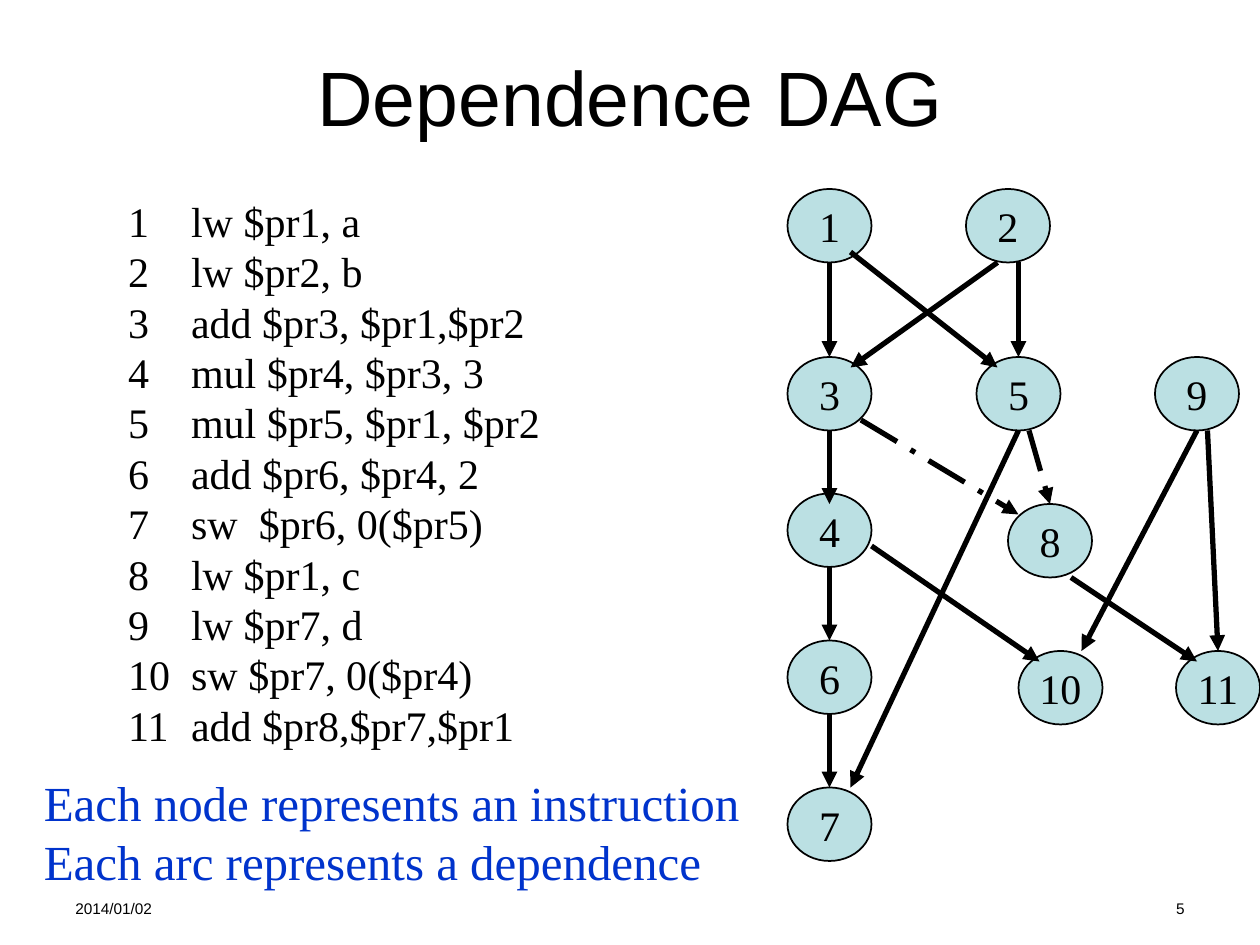
"""Build a slide that shows a dependence DAG beside its instruction list."""
from lxml import etree
from pptx import Presentation
from pptx.dml.color import RGBColor
from pptx.enum.dml import MSO_LINE
from pptx.enum.shapes import MSO_CONNECTOR, MSO_SHAPE
from pptx.enum.text import MSO_ANCHOR, MSO_AUTO_SIZE, PP_ALIGN
from pptx.oxml.ns import qn
from pptx.util import Pt

LEFT, MID, RIGHT = PP_ALIGN.LEFT, PP_ALIGN.CENTER, PP_ALIGN.RIGHT
CENTER, TOP = MSO_ANCHOR.MIDDLE, MSO_ANCHOR.TOP
FIXED = MSO_AUTO_SIZE.NONE
OVAL, LINE = MSO_SHAPE.OVAL, MSO_CONNECTOR.STRAIGHT
DASH = MSO_LINE.LONG_DASH_DOT
SANS, SERIF = "Arial", "Times New Roman"
BLACK, BLUE, TEAL = "000000", "0033CC", "BBE0E3"
GRID = 6

CODE = [
    "lw $pr1, a", "lw $pr2, b", "add $pr3, $pr1,$pr2", "mul $pr4, $pr3, 3",
    "mul $pr5, $pr1, $pr2", "add $pr6, $pr4, 2", "sw  $pr6, 0($pr5)",
    "lw $pr1, c", "lw $pr7, d", "sw $pr7, 0($pr4)", "add $pr8,$pr7,$pr1",
]
NODES = {
    1: (75, 18), 2: (92, 18), 3: (75, 34), 4: (75, 47), 5: (93, 34),
    6: (75, 61), 7: (75, 75), 8: (96, 48), 9: (110, 34), 10: (97, 62),
    11: (112, 62),
}
SOLID = [
    (79, 25, 79, 34), (95, 25, 81, 35), (81, 24, 95, 35), (97, 25, 97, 34),
    (79, 41, 79, 48), (79, 54, 79, 61), (79, 68, 79, 75), (97, 41, 81, 75),
    (83, 52, 99, 63), (114, 41, 103, 62), (102, 55, 114, 63),
    (115, 41, 116, 62),
]
DASHED = [(98, 41, 100, 48), (82, 40, 97, 49)]


def color(code):
    """Turn a hex string into a colour."""
    return RGBColor.from_string(code)


def write(frame, text, font=SERIF, size=24, tint=BLACK, align=LEFT,
          anchor=TOP, wrap=True, lead=None):
    """Fill a text frame, one paragraph for each line of text."""
    frame.text = text
    frame.auto_size = FIXED
    frame.word_wrap = wrap
    frame.vertical_anchor = anchor
    for para in frame.paragraphs:
        para.alignment = align
        para.space_before = Pt(0)
        if lead:
            para.line_spacing = Pt(lead)
        para.font.name = font
        para.font.size = Pt(size)
        para.font.color.rgb = color(tint)


def place(shape, x, y, w, h):
    """Move and size a shape."""
    shape.left, shape.top, shape.width, shape.height = map(Pt, (x, y, w, h))


class Deck:
    """Hold the style and the current slide."""

    def __init__(self):
        """Start a deck with one slide."""
        self.deck = Presentation()
        self.deck.slide_width, self.deck.slide_height = Pt(720), Pt(540)
        self.slide = self.deck.slides.add_slide(self.deck.slide_layouts[1])
        self.shapes = self.slide.shapes
        self.thin, self.thick = 1, 3

    def title(self, text, *box):
        """Set the title."""
        place(self.shapes.title, *box)
        write(self.shapes.title.text_frame, text, font=SANS, size=44,
              align=MID, anchor=CENTER)

    def steps(self, lines, *box):
        """Set the body as a numbered list."""
        body = self.slide.placeholders[1]
        place(body, *box)
        write(body.text_frame, "\n".join(lines), lead=28.8)
        for para in body.text_frame.paragraphs:
            props = para._p.get_or_add_pPr()
            props.set("marL", str(Pt(36)))
            props.set("indent", str(Pt(-36)))
            etree.SubElement(props, qn("a:buFont"), typeface=SERIF)
            etree.SubElement(props, qn("a:buAutoNum"), type="arabicPlain")

    def label(self, text, *box, **style):
        """Add a text box."""
        shape = self.shapes.add_textbox(*map(Pt, box))
        write(shape.text_frame, text, **style)

    def node(self, text, col, row):
        """Add a graph node at a grid spot."""
        box = (n * GRID for n in (col, row, 8, 7))
        shape = self.shapes.add_shape(OVAL, *map(Pt, box))
        shape.shadow.inherit = False
        shape.fill.solid()
        shape.fill.fore_color.rgb = color(TEAL)
        shape.line.color.rgb = color(BLACK)
        shape.line.width = Pt(self.thin)
        write(shape.text_frame, text, align=MID, anchor=CENTER, wrap=False,
              lead=28.8)

    def arc(self, ends, dash=None):
        """Add an arrow between two grid spots."""
        link = self.shapes.add_connector(LINE, *(Pt(n * GRID) for n in ends))
        link.line.color.rgb = color(BLACK)
        link.line.width = Pt(self.thick)
        if dash:
            link.line.dash_style = dash
        props = link._element.spPr
        etree.SubElement(props.find(qn("a:ln")), qn("a:tailEnd"),
                         type="triangle")
        etree.SubElement(props, qn("a:effectLst"))


def main():
    """Draw the slide and save it."""
    deck = Deck()
    deck.title("Dependence DAG", 36, 21.6, 648, 66)
    deck.steps(CODE, 66, 108, 322, 324)
    for num, spot in NODES.items():
        deck.node(str(num), *spot)
    for ends in SOLID:
        deck.arc(ends)
    for ends in DASHED:
        deck.arc(ends, DASH)
    deck.label("Each node represents an instruction "
               "Each arc represents a dependence",
               18, 438, 432, 75, size=28, tint=BLUE, lead=33.6)
    foot = {"font": SANS, "size": 8.8}
    deck.label("2014/01/02", 36, 510, 168, 19.2, **foot)
    deck.label("5", 516, 510, 168, 19.2, align=RIGHT, **foot)
    deck.deck.save("out.pptx")


if __name__ == "__main__":
    main()
